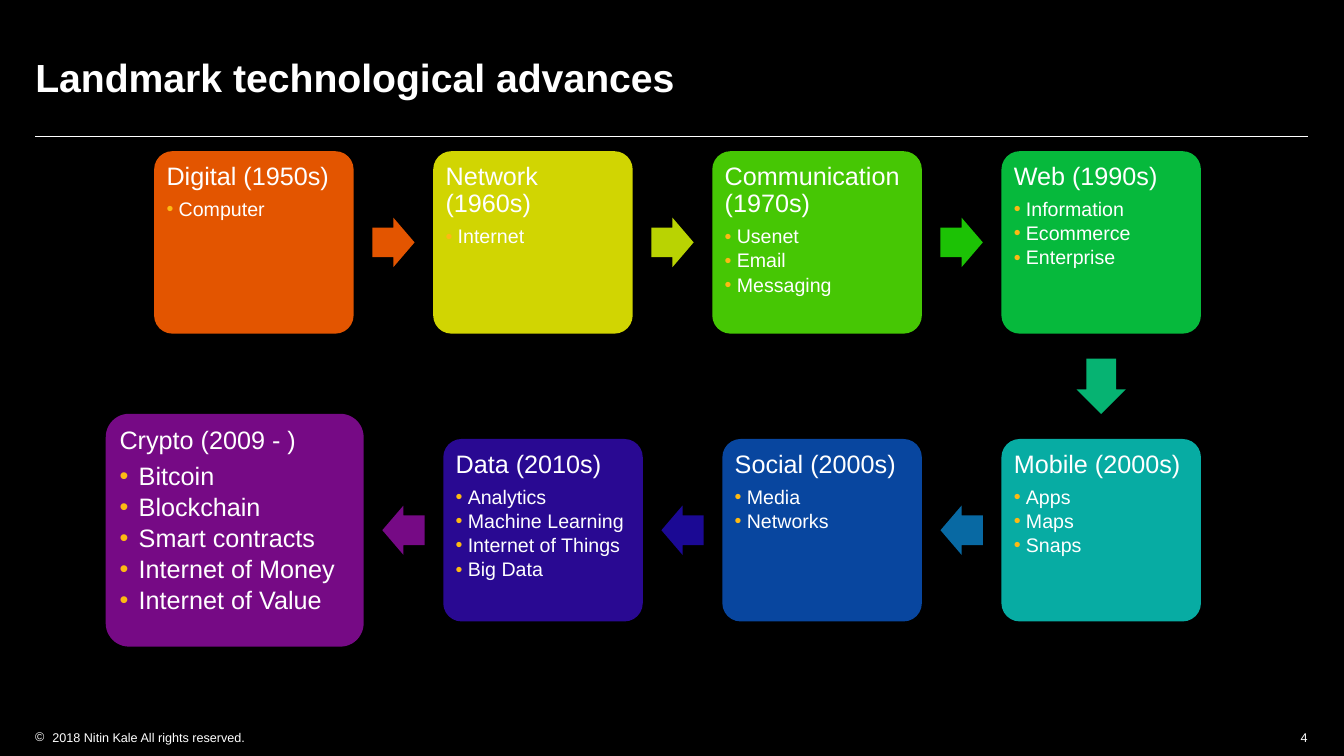
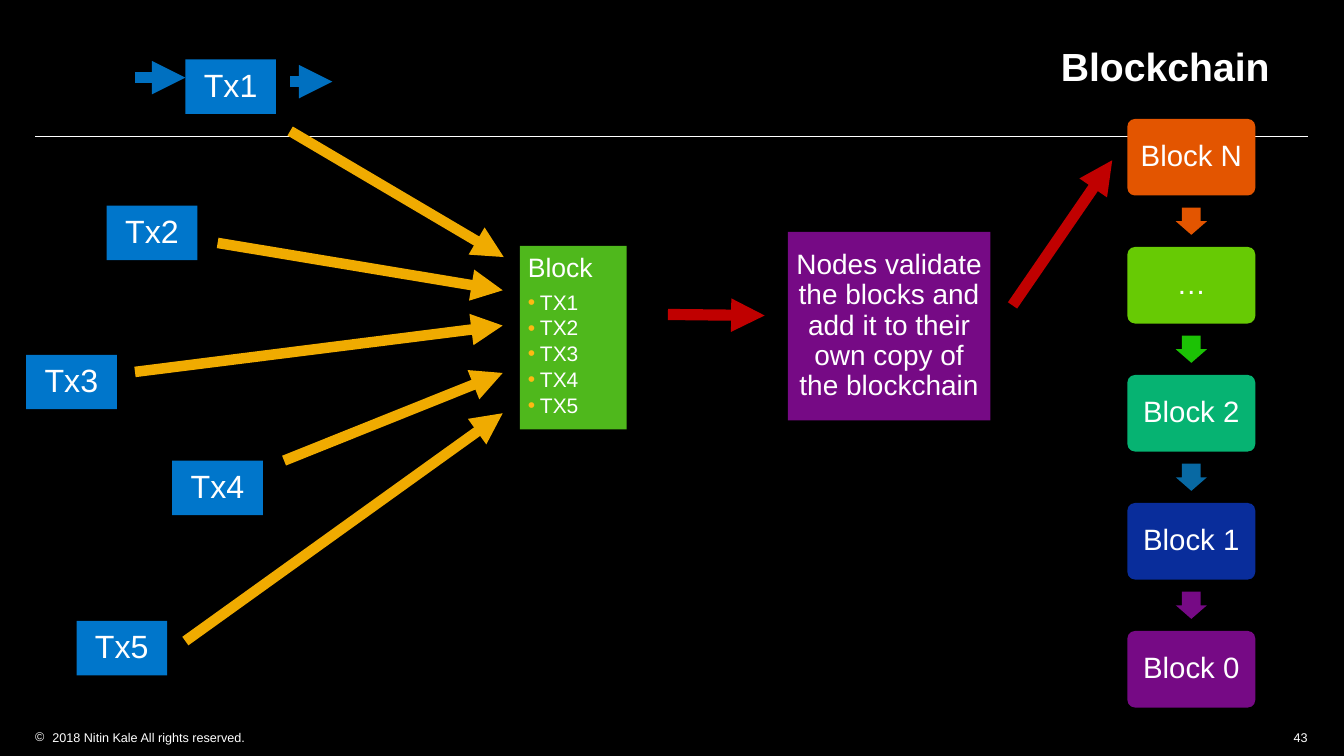
from itertools import pairwise

from lxml import etree
from pptx import Presentation
from pptx.dml.color import RGBColor as RGB
from pptx.enum.shapes import MSO_CONNECTOR as Conn, MSO_SHAPE as Kind
from pptx.enum.text import MSO_ANCHOR as Anchor, MSO_AUTO_SIZE as Auto, PP_ALIGN as Align
from pptx.oxml.ns import qn
from pptx.util import Inches, Pt

FONT = "Arial"
BLACK, WHITE = RGB(0, 0, 0), RGB(255, 255, 255)
GOLD, AMBER = RGB(0xFD, 0xB9, 0x13), RGB(0xF0, 0xAB, 0x00)
RED, AZURE, BLUE = RGB(0xC0, 0, 0), RGB(0, 0x70, 0xC0), RGB(0, 0x76, 0xCB)
ORANGE, YELLOW, OLIVE = RGB(0xE3, 0x55, 0), RGB(0xD1, 0xD5, 2), RGB(0xB9, 0xD3, 2)
LIME, GREEN, GRASS = RGB(0x46, 0xC7, 4), RGB(0x1C, 0xC2, 5), RGB(0x67, 0xCA, 4)
LEAF, FERN, JADE = RGB(0x4F, 0xB8, 0x1C), RGB(6, 0xB9, 0x3C), RGB(6, 0xB3, 0x72)
TEAL, STEEL, ROYAL = RGB(7, 0xAC, 0xA3), RGB(8, 0x69, 0xA3), RGB(8, 0x46, 0x9F)
COBALT, INDIGO = RGB(9, 0x2D, 0x9B), RGB(0x1B, 9, 0x94)
VIOLET, PURPLE = RGB(0x29, 9, 0x92), RGB(0x76, 0x0A, 0x85)

WIDE, HIGH = 13.34, 7.5
EDGE, END = 0.35, 12.98
LEGAL = "2018 Nitin Kale All rights reserved."

# Each era: heading, items, fill, colour of the arrow that leads on
FIRST = [
    ("Digital (1950s)", ["Computer"], ORANGE, ORANGE),
    ("Network (1960s)", ["Internet"], YELLOW, OLIVE),
    ("Communication (1970s)", ["Usenet", "Email", "Messaging"], LIME, GREEN),
    ("Web (1990s)", ["Information", "Ecommerce", "Enterprise"], FERN, JADE),
]
LATER = [
    ("Mobile (2000s)", ["Apps", "Maps", "Snaps"], TEAL, STEEL),
    ("Social (2000s)", ["Media", "Networks"], ROYAL, INDIGO),
    ("Data (2010s)", ["Analytics", "Machine Learning", "Internet of Things", "Big Data"],
     VIOLET, PURPLE),
    ("Crypto (2009 - )", ["Bitcoin", "Blockchain", "Smart contracts", "Internet of Money",
                          "Internet of Value"], PURPLE, None),
]
CARD_W, CARD_H, CARD_GAP = 1.98, 1.81, 0.79
TOP_Y, LOW_MID = 1.5, 5.26

# Each transaction: name, left, top, start and end of its arrow
DEALS = [
    ("Tx1", 1.84, 0.59, (2.88, 1.3), (5, 2.55)),
    ("Tx2", 1.06, 2.04, (2.16, 2.41), (4.99, 2.88)),
    ("Tx3", 0.26, 3.52, (1.34, 3.69), (4.99, 3.23)),
    ("Tx4", 1.71, 4.57, (2.82, 4.57), (4.99, 3.7)),
    ("Tx5", 0.76, 6.16, (1.84, 6.36), (4.99, 4.1)),
]
CHAIN = [
    ("Block N", ORANGE, ORANGE),
    ("…", GRASS, GREEN),
    ("Block 2", JADE, STEEL),
    ("Block 1", COBALT, PURPLE),
    ("Block 0", PURPLE, None),
]
STEPS = [
    ((6.63, 3.12), (7.59, 3.13), RED),
    ((1.34, 0.77), (1.84, 0.77), AZURE),
    ((2.88, 0.81), (3.3, 0.81), AZURE),
    ((10.05, 3.03), (11.04, 1.59), RED),
]
NODES = "Nodes validate the blocks and add it to their own copy of the blockchain"


def inch(nums):
    return [Inches(n) for n in nums]


def add_run(par, text, size, bold=False):
    run = par.add_run()
    run.text = text
    font = run.font
    font.name, font.size, font.bold = FONT, Pt(size), bold
    font.color.rgb = WHITE


def bullet(par, mark, color, ind):
    props = par._p.get_or_add_pPr()
    props.set("marL", str(Inches(ind)))
    props.set("indent", str(-Inches(ind)))
    tint = etree.SubElement(props, qn("a:buClr"))
    etree.SubElement(tint, qn("a:srgbClr")).set("val", str(color))
    etree.SubElement(props, qn("a:buFont")).set("typeface", FONT)
    etree.SubElement(props, qn("a:buChar")).set("char", mark)


def set_frame(frame, pad=0, anchor=Anchor.TOP):
    frame.word_wrap, frame.auto_size = True, Auto.NONE
    frame.vertical_anchor = anchor
    frame.margin_left = frame.margin_right = Inches(pad)
    frame.margin_top = frame.margin_bottom = Inches(pad)


def add_form(slide, kind, at, fill, adj=()):
    form = slide.shapes.add_shape(kind, *inch(at))
    form.shadow.inherit = False
    form.fill.solid()
    form.fill.fore_color.rgb = fill
    form.line.fill.background()
    for i, share in enumerate(adj):
        form.adjustments[i] = share
    return form


def add_block(slide, at, fill, text, size, pad, kind=Kind.RECTANGLE, adj=()):
    """A filled box with one centred paragraph."""
    form = add_form(slide, kind, at, fill, adj)
    set_frame(form.text_frame, pad, Anchor.MIDDLE)
    par = form.text_frame.paragraphs[0]
    par.alignment, par.line_spacing = Align.CENTER, 0.9
    add_run(par, text, size)


def add_list(form, head, items, big, small, ind, pad):
    """A heading over bulleted items."""
    frame = form.text_frame
    set_frame(frame, pad)
    for i, text in enumerate([head, *items]):
        par = frame.add_paragraph() if i else frame.paragraphs[0]
        size, share = (small, 0.15) if i else (big, 0.35)
        if i:
            bullet(par, "•", GOLD, ind)
        par.alignment, par.line_spacing = Align.LEFT, 0.9
        par.space_after = Pt(round(size * share, 1))
        add_run(par, text, size)


def add_arrow(slide, kind, mid, size, fill):
    (x, y), (w, h) = mid, size
    add_form(slide, kind, (x - w / 2, y - h / 2, w, h), fill, (0.6, 0.5))


def add_line(slide, start, end, color, width, tip=False):
    line = slide.shapes.add_connector(Conn.STRAIGHT, *inch(start + end))
    line.line.color.rgb, line.line.width = color, Pt(width)
    if tip:
        etree.SubElement(line.line._get_or_add_ln(), qn("a:tailEnd")).set("type", "triangle")
    etree.SubElement(line._element.spPr, qn("a:effectLst"))


def add_note(slide, at, text, align, mark=None):
    frame = slide.shapes.add_textbox(*inch(at)).text_frame
    set_frame(frame)
    par = frame.paragraphs[0]
    if mark:
        bullet(par, mark, WHITE, 0.17)
    par.alignment = align
    add_run(par, text, 9)


def new_slide(deck, title, at, page):
    slide = deck.slides.add_slide(deck.slide_layouts[5])
    add_line(slide, (EDGE, 1.35), (END, 1.35), WHITE, 0.5)
    add_note(slide, (EDGE, 7.24, 3, 0.15), LEGAL, Align.LEFT, "©")
    add_note(slide, (END - 0.5, 7.24, 0.5, 0.15), page, Align.RIGHT)
    head = slide.shapes.title
    head.left, head.top, head.width, head.height = inch(at)
    set_frame(head.text_frame, 0, Anchor.MIDDLE)
    par = head.text_frame.paragraphs[0]
    par.alignment = Align.LEFT
    add_run(par, title, 28, True)
    return slide


def era_spots():
    """Top row runs right; the lower row runs back left and ends in a larger card."""
    spots, x = [], 1.53
    for w in (CARD_W, CARD_W, 2.08, CARD_W):
        spots.append((x, TOP_Y, w, CARD_H))
        x += w + CARD_GAP
    x -= CARD_GAP
    for w, h in [(CARD_W, CARD_H)] * 3 + [(2.56, 2.31)]:
        spots.append((x - w, LOW_MID - h / 2, w, h))
        x -= w + CARD_GAP
    return spots


def draw_eras(deck):
    slide = new_slide(deck, "Landmark technological advances",
                      (EDGE, 0.35, END - EDGE, 0.83), "4")
    eras, spots = FIRST + LATER, era_spots()
    for i, ((head, items, fill, _), at) in enumerate(zip(eras, spots)):
        last = i == len(eras) - 1
        card = add_form(slide, Kind.ROUNDED_RECTANGLE, at, fill, (0.1,))
        add_list(card, head, items, 18, 18 if last else 14, 0.19 if last else 0.12, 0.07)
    for i, ((x, y, w, h), (nx, ny, nw, _)) in enumerate(pairwise(spots)):
        if i == len(FIRST) - 1:
            kind, mid, size = Kind.DOWN_ARROW, (x + w / 2, (y + h + ny) / 2), (0.49, 0.55)
        elif nx > x:
            kind, mid, size = Kind.RIGHT_ARROW, ((x + w + nx) / 2, y + h / 2), (0.42, 0.49)
        else:
            kind, mid, size = Kind.LEFT_ARROW, ((nx + nw + x) / 2, y + h / 2), (0.42, 0.49)
        add_arrow(slide, kind, mid, size, eras[i][3])


def draw_chain(deck):
    slide = new_slide(deck, "Blockchain", (10.53, 0.24, 2.26, 0.83), "43")
    for name, x, y, _, _ in DEALS:
        add_block(slide, (x, y, 0.9, 0.54), BLUE, name, 23, 0.1)
    block = add_form(slide, Kind.RECTANGLE, (5.16, 2.44, 1.06, 1.82), LEAF)
    add_list(block, "Block", [deal[0].upper() for deal in DEALS], 19, 15, 0.12, 0.08)
    x, w, h, step = 11.19, 1.27, 0.76, 1.27
    for i, (name, fill, lead) in enumerate(CHAIN):
        y = 1.18 + i * step
        add_block(slide, (x, y, w, h), fill, name, 21, 0.09, Kind.ROUNDED_RECTANGLE, (0.1,))
        if lead:
            add_arrow(slide, Kind.DOWN_ARROW, (x + w / 2, y + (h + step) / 2),
                      (0.31, 0.27), lead)
    for _, _, _, start, end in DEALS:
        add_line(slide, start, end, AMBER, 7.5, True)
    add_block(slide, (7.82, 2.3, 2.01, 1.87), PURPLE, NODES, 20, 0.08)
    for start, end, color in STEPS:
        add_line(slide, start, end, color, 8, True)


def main():
    deck = Presentation()
    deck.slide_width, deck.slide_height = inch((WIDE, HIGH))
    back = deck.slide_master.background.fill
    back.solid()
    back.fore_color.rgb = BLACK
    draw_eras(deck)
    draw_chain(deck)
    deck.save("out.pptx")


if __name__ == "__main__":
    main()
